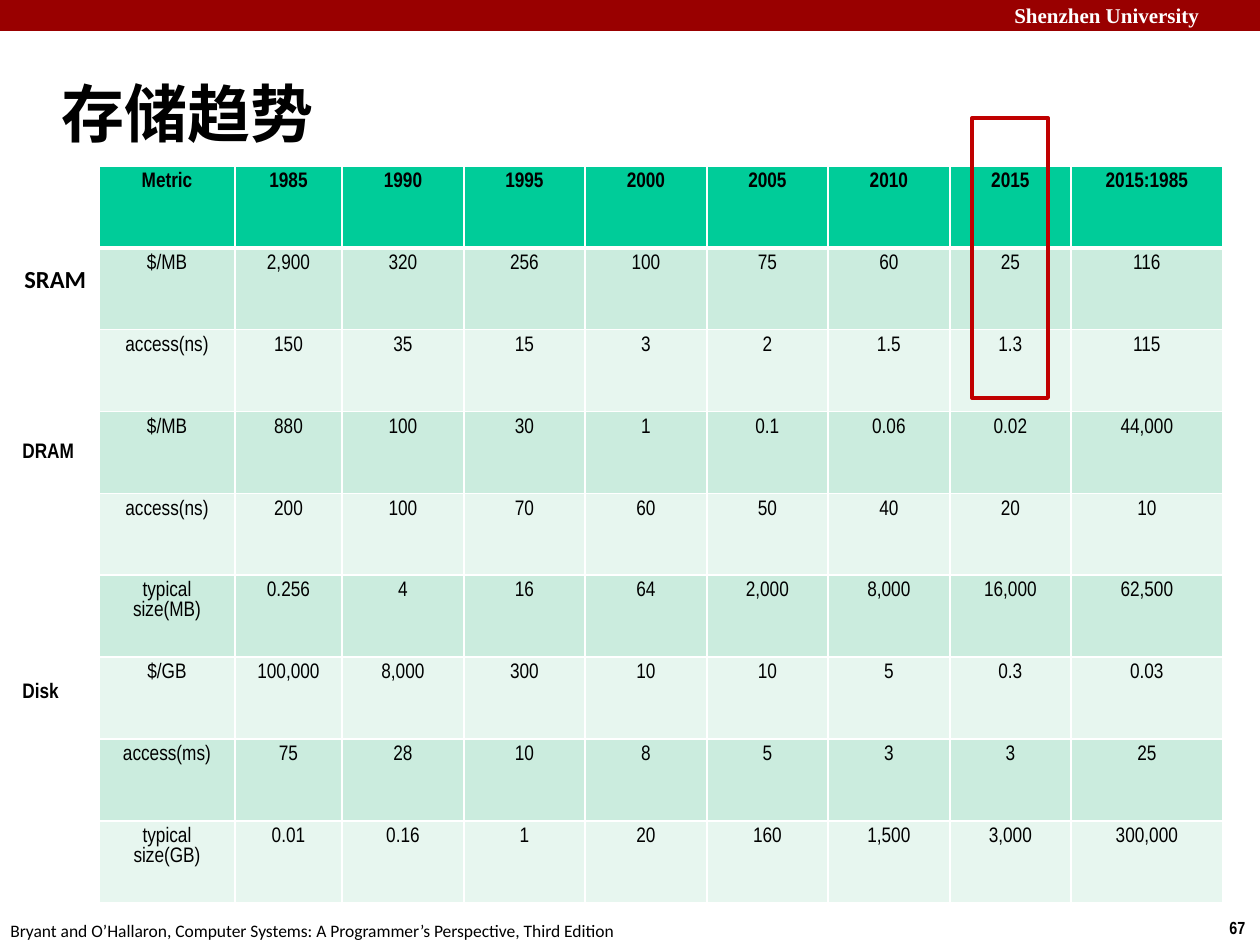
from lxml import etree
from pptx import Presentation
from pptx import util as u
from pptx.dml.color import RGBColor
from pptx.enum import shapes, text
from pptx.oxml import ns

COLORS = {
    "banner": "990000",
    "header": "00CC99",
    "band_dark": "CBECDE",
    "band_light": "E7F6EF",
    "highlight": "C00000",
    "black": "000000",
    "white": "FFFFFF",
}
PX_PER_INCH = 126
NARROW = "Arial Narrow"

TRENDS = [
    ["Metric", "1985", "1990", "1995", "2000", "2005", "2010", "2015", "2015:1985"],
    ["$/MB", "2,900", "320", "256", "100", "75", "60", "25", "116"],
    ["access(ns)", "150", "35", "15", "3", "2", "1.5", "1.3", "115"],
    ["$/MB", "880", "100", "30", "1", "0.1", "0.06", "0.02", "44,000"],
    ["access(ns)", "200", "100", "70", "60", "50", "40", "20", "10"],
    ["typical size(MB)", "0.256", "4", "16", "64", "2,000", "8,000", "16,000", "62,500"],
    ["$/GB", "100,000", "8,000", "300", "10", "10", "5", "0.3", "0.03"],
    ["access(ms)", "75", "28", "10", "8", "5", "3", "3", "25"],
    ["typical size(GB)", "0.01", "0.16", "1", "20", "160", "1,500", "3,000", "300,000"],
]
COLUMN_WIDTHS = [136, 107] + [122, 121] * 3 + [152]


def px(length):
    return u.Emu(round(length * 914400 / PX_PER_INCH))


def rgb(name):
    return RGBColor.from_string(COLORS[name])


def add_run(paragraph, words, size, face, color="black", bold=True):
    run = paragraph.add_run()
    run.text = words
    run.font.size = u.Pt(size)
    run.font.name = face
    run.font.bold = bold
    run.font.color.rgb = rgb(color)


def add_label(slide, words, box, size, face, color="black", bold=True, wrap=True):
    label = slide.shapes.add_textbox(*map(px, box))
    label.text_frame.word_wrap = wrap
    add_run(label.text_frame.paragraphs[0], words, size, face, color, bold)


def add_rectangle(slide, box, fill=None, line=None):
    rectangle = slide.shapes.add_shape(shapes.MSO_SHAPE.RECTANGLE, *map(px, box))
    rectangle.shadow.inherit = False
    if fill:
        rectangle.fill.solid()
        rectangle.fill.fore_color.rgb = rgb(fill)
    else:
        rectangle.fill.background()
    if line:
        rectangle.line.color.rgb = rgb(line)
        rectangle.line.width = u.Pt(2.25)
    else:
        rectangle.line.fill.background()


def set_title(slide, words):
    title = slide.shapes.title
    title.left, title.top, title.width, title.height = map(px, (49, 60, 1046, 105))
    title.text_frame.vertical_anchor = text.MSO_ANCHOR.MIDDLE
    heading = title.text_frame.paragraphs[0]
    heading.alignment = text.PP_ALIGN.LEFT
    add_run(heading, words, 36, "Calibri")


def set_borders(cell, widths):
    properties = cell._tc.get_or_add_tcPr()
    for position, (side, width) in enumerate(widths.items()):
        border = etree.Element(ns.qn(f"a:ln{side}"), w=str(u.Pt(width)))
        fill = etree.SubElement(border, ns.qn("a:solidFill"))
        etree.SubElement(fill, ns.qn("a:srgbClr"), val=COLORS["white"])
        properties.insert(position, border)


def fill_cell(cell, words, row):
    if row == 0:
        color = "header"
    else:
        color = "band_dark" if row % 2 else "band_light"
    cell.fill.solid()
    cell.fill.fore_color.rgb = rgb(color)
    paragraph = cell.text_frame.paragraphs[0]
    paragraph.alignment = text.PP_ALIGN.CENTER
    add_run(paragraph, words, 12, NARROW, bold=row == 0)
    top = 3 if row == 1 else 1
    bottom = 3 if row == 0 else 1
    set_borders(cell, {"L": 1, "R": 1, "T": top, "B": bottom})


def add_trend_table(slide):
    box = map(px, (99, 166, sum(COLUMN_WIDTHS), 737))
    trends = slide.shapes.add_table(len(TRENDS), len(COLUMN_WIDTHS), *box).table
    for column, width in zip(trends.columns, COLUMN_WIDTHS):
        column.width = px(width)
    for row, values in enumerate(TRENDS):
        for column, words in enumerate(values):
            fill_cell(trends.cell(row, column), words, row)


def main():
    deck = Presentation()
    deck.slide_width, deck.slide_height = px(1260), px(945)
    slide = deck.slides.add_slide(deck.slide_layouts[5])

    add_rectangle(slide, (0, 0, 1260, 31), fill="banner")
    add_label(slide, "Shenzhen University", (1002, -4, 267, 38), 12,
              "Times New Roman", "white")
    add_label(slide, "67", (1217, 911, 43, 34), 10, NARROW, wrap=False)
    add_label(slide, "Bryant and O’Hallaron, Computer Systems: "
              "A Programmer’s Perspective, Third Edition",
              (-2, 914, 641, 34), 10, "Calibri", bold=False, wrap=False)
    set_title(slide, "存储趋势")
    add_trend_table(slide)
    add_label(slide, "SRAM", (12, 258, 93, 43), 14, "Calibri")
    add_label(slide, "DRAM", (10, 431, 96, 38), 12, NARROW)
    add_label(slide, "Disk", (10, 671, 69, 38), 12, NARROW, wrap=False)
    add_rectangle(slide, (972, 118, 76, 280), line="highlight")
    deck.save("out.pptx")


if __name__ == "__main__":
    main()
